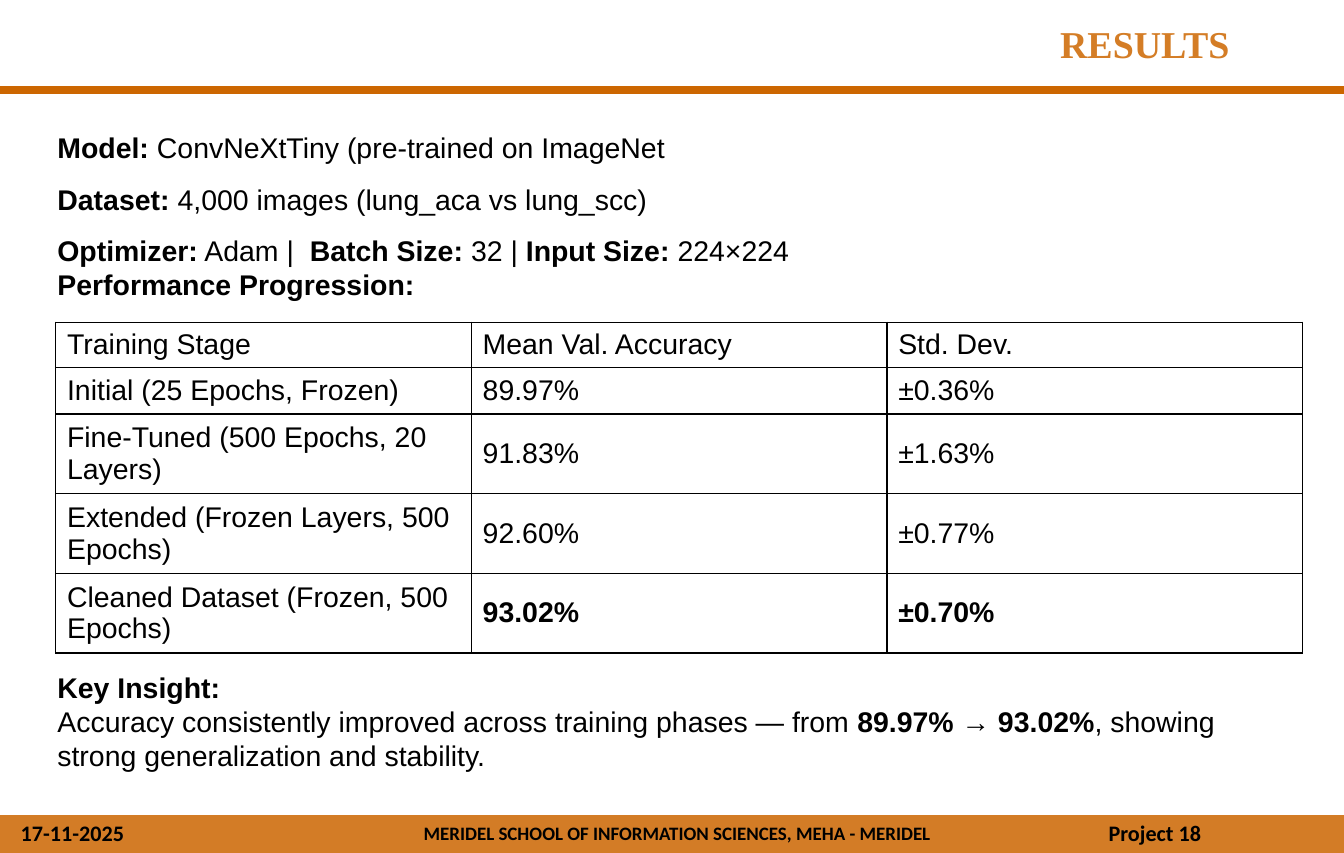
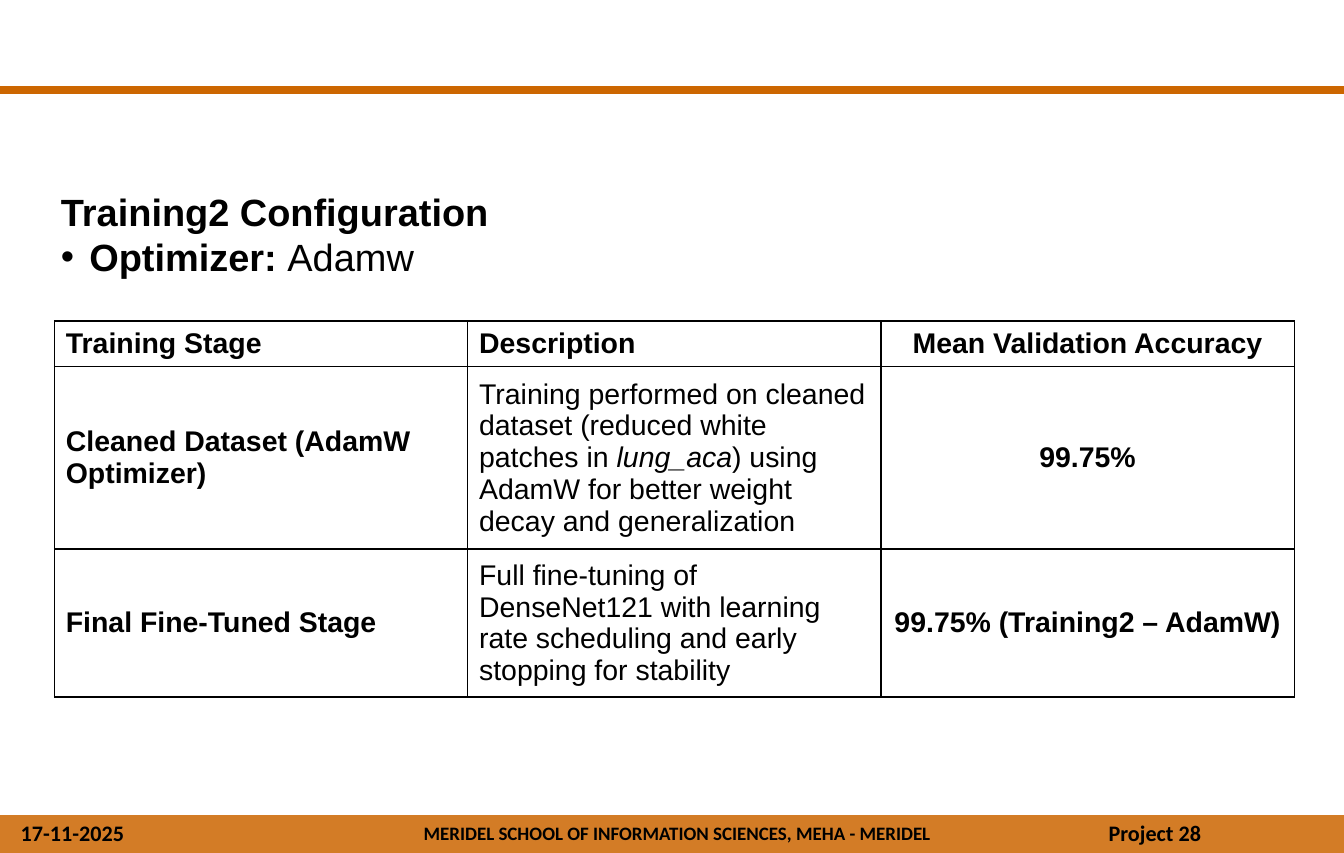
from lxml.etree import SubElement
from pptx import Presentation
from pptx.dml.color import RGBColor
from pptx.enum.shapes import MSO_CONNECTOR, MSO_SHAPE
from pptx.enum.text import MSO_ANCHOR, PP_ALIGN
from pptx.oxml.ns import qn
from pptx.util import Emu, Pt

# Content: *bold* and ^italic^ mark the runs
SCHOOL = "MERIDEL SCHOOL OF INFORMATION SCIENCES, MEHA - MERIDEL"
DATE = "17-11-2025"
SETUP = [
    "*Model: *ConvNeXtTiny (pre-trained on ImageNet",
    "*Dataset:* 4,000 images (lung_aca vs lung_scc)",
    "*Optimizer:* Adam |  *Batch Size:* 32 | *Input Size:* 224×224",
]
STAGES = [
    ["Training Stage", "Mean Val. Accuracy", "Std. Dev."],
    ["Initial (25 Epochs, Frozen)", "89.97%", "±0.36%"],
    ["Fine-Tuned (500 Epochs, 20 Layers)", "91.83%", "±1.63%"],
    ["Extended (Frozen Layers, 500 Epochs)", "92.60%", "±0.77%"],
    ["Cleaned Dataset (Frozen, 500 Epochs)", "*93.02%*", "*±0.70%*"],
]
INSIGHT = [
    "*Key Insight:*",
    "Accuracy consistently improved across training phases — from "
    "*89.97% → 93.02%*, showing strong generalization and stability.",
]
CONFIG = [
    ["*Training Stage*", "*Description*", "*Mean Validation Accuracy*"],
    ["*Cleaned Dataset (AdamW Optimizer)*",
     "Training performed on cleaned dataset (reduced white patches in "
     "^lung_aca^) using AdamW for better weight decay and generalization",
     "*99.75%*"],
    ["*Final Fine-Tuned Stage*",
     "Full fine-tuning of DenseNet121 with learning rate scheduling "
     "and early stopping for stability",
     "*99.75% (Training2 – AdamW)*"],
]

# Shared style; 96 px to the inch
PX = 9525
WIDE, HIGH = 1134, 720
HUES = {"rule": "CC6600", "title": "D47D26", "ink": "000000"}
LEFT, MID = PP_ALIGN.LEFT, PP_ALIGN.CENTER


def px(*nums):
    return [Emu(n * PX) for n in nums]


def hue(name):
    return RGBColor.from_string(HUES[name])


def write(frame, lines, size=18, font="Arial", ink="ink", align=LEFT,
          space=None, dot=False, more=False):
    """Fill a text frame, or add to it when more is set."""
    frame.word_wrap = True
    for i, line in enumerate(lines):
        para = frame.add_paragraph() if i or more else frame.paragraphs[0]
        para.alignment = align
        if space:
            para.line_spacing = space
        if dot:
            props = para._p.get_or_add_pPr()
            props.set("marL", str(24 * PX))
            props.set("indent", str(-24 * PX))
            SubElement(props, qn("a:buFont"), typeface="Arial")
            SubElement(props, qn("a:buChar"), char="•")
        for j, part in enumerate(line.split("*")):
            for k, bit in enumerate(part.split("^")):
                if not bit:
                    continue
                run = para.add_run()
                run.text = bit
                run.font.size, run.font.name = Pt(size), font
                run.font.bold, run.font.italic = j % 2 == 1, k % 2 == 1
                run.font.color.rgb = hue(ink)


def box(slide, at, lines, **style):
    frame = slide.shapes.add_textbox(*px(*at)).text_frame
    write(frame, lines, **style)
    return frame


def grid(slide, at, rows, highs, aligns):
    """Draw a plain ruled table with equal columns."""
    shape = slide.shapes.add_table(len(rows), len(rows[0]), *px(*at))
    table = shape.table
    table.first_row = table.horz_banding = False
    for row, high in zip(table.rows, highs):
        row.height = Emu(high * PX)
    for r, row in enumerate(rows):
        for c, label in enumerate(row):
            cell = table.cell(r, c)
            cell.vertical_anchor = MSO_ANCHOR.MIDDLE
            write(cell.text_frame, [label], align=aligns[c])
            props = cell._tc.get_or_add_tcPr()
            for side in ("lnL", "lnR", "lnT", "lnB"):
                edge = SubElement(props, qn("a:" + side), w=str(Pt(1)))
                fill = SubElement(edge, qn("a:solidFill"))
                SubElement(fill, qn("a:srgbClr"), val=HUES["ink"])
            cell.fill.background()


def base(deck, page):
    """Start a slide with the top rule and the footer band."""
    slide = deck.slides.add_slide(deck.slide_layouts[6])
    rule = slide.shapes.add_connector(
        MSO_CONNECTOR.STRAIGHT, *px(0, 76, WIDE, 76))
    rule.line.color.rgb = hue("rule")
    rule.line.width = Pt(4.5)
    SubElement(rule._element.spPr, qn("a:effectLst"))

    band = slide.shapes.add_shape(MSO_SHAPE.RECTANGLE, *px(0, 688, WIDE, 32))
    band.shadow.inherit = False
    band.line.fill.background()
    band.fill.solid()
    band.fill.fore_color.rgb = hue("rule")
    tint = band._element.spPr.find(".//" + qn("a:srgbClr"))
    SubElement(tint, qn("a:alpha"), val="85000")

    foot = [
        ((274, 689, 595, 30), SCHOOL, 12, MID),
        ((8, 687, 128, 33), DATE, 14, LEFT),
        ((926, 687, 206, 33), f"Project {page}", 14, LEFT),
    ]
    for at, label, size, align in foot:
        box(slide, at, [f"*{label}*"], size=size, font="Calibri", align=align)
    return slide


def main():
    deck = Presentation()
    deck.slide_width, deck.slide_height = px(WIDE, HIGH)

    # Results
    slide = base(deck, 18)
    box(slide, (885, 13, 238, 126), ["*RESULTS*"], size=24,
        font="Times New Roman", ink="title")
    frame = box(slide, (39, 91, 1027, 170), SETUP, space=1.5)
    write(frame, ["*Performance Progression:*"], more=True)
    grid(slide, (47, 272, 1052, 278), STAGES, [38, 39, 67, 67, 67],
         [LEFT] * 3)
    box(slide, (39, 561, 1041, 97), INSIGHT)

    # Second training
    slide = base(deck, 28)
    frame = box(slide, (42, 126, 981, 291), ["*Training2 Configuration*"],
                size=24)
    frame.margin_top = Emu(33 * PX)
    write(frame, ["*Optimizer: *Adamw"], size=24, dot=True, more=True)
    grid(slide, (46, 271, 1046, 317), CONFIG, [38, 154, 125],
         [LEFT, LEFT, MID])

    deck.save("out.pptx")


if __name__ == "__main__":
    main()
